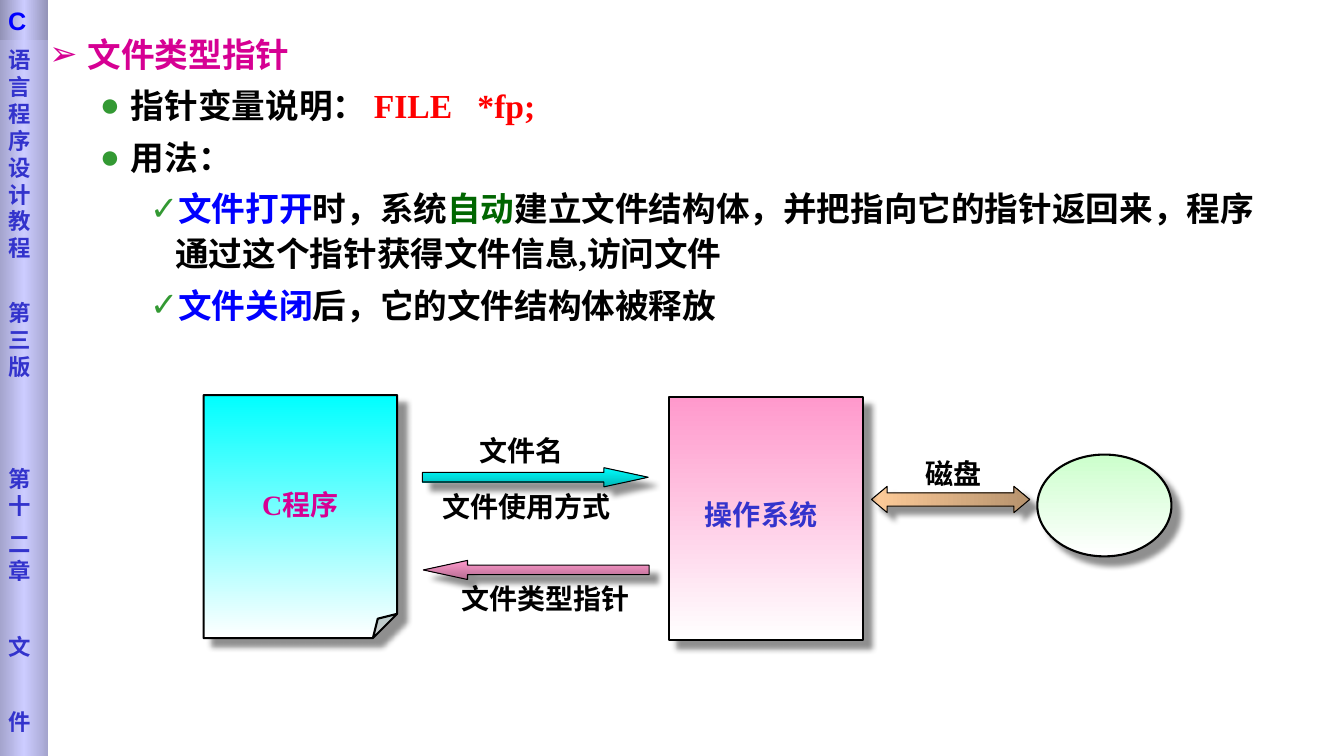
from copy import deepcopy

from lxml import etree
from pptx import Presentation
from pptx import util as u
from pptx.dml.color import RGBColor
from pptx.enum import shapes, text
from pptx.oxml import ns

# Grid: 100 columns by 100 rows
WIDTH, HEIGHT = u.Inches(13.33), u.Inches(7.5)
COLUMN, ROW = WIDTH / 100, HEIGHT / 100

BLACK = RGBColor(0x00, 0x00, 0x00)
WHITE = RGBColor(0xFF, 0xFF, 0xFF)
RED = RGBColor(0xFF, 0x00, 0x00)
BLUE = RGBColor(0x00, 0x00, 0xFF)
INDIGO = RGBColor(0x33, 0x33, 0xCC)
MAGENTA = RGBColor(0xD6, 0x00, 0x93)
GREEN = RGBColor(0x00, 0x66, 0x00)
BULLET_GREEN = RGBColor(0x33, 0x99, 0x33)
CYAN = RGBColor(0x00, 0xFF, 0xFF)
TEAL = RGBColor(0x00, 0xB6, 0xB6)
PINK = RGBColor(0xFF, 0x99, 0xCC)
MAUVE = RGBColor(0xB6, 0x6D, 0x92)
PEACH = RGBColor(0xFF, 0xCC, 0x99)
BROWN = RGBColor(0xB6, 0x92, 0x6D)
MINT = RGBColor(0xCC, 0xFF, 0xCC)
LAVENDER = RGBColor(0xCC, 0xCC, 0xFF)
SLATE = RGBColor(0xA4, 0xA4, 0xCD)
DARK_SLATE = RGBColor(0x92, 0x92, 0xB6)

SERIF, SANS, LATIN_SANS = "Times New Roman", "DejaVu Sans", "Arial"
DOWNWARD, SIDEWAYS = 270, 0
SLIM_ARROW = {"adj1": 0.5, "adj2": 2.31}

# Level: bullet, bullet colour, left margin and hanging indent in inches
LEVELS = [
    ("➢", MAGENTA, 0.38, 0.38),
    ("●", BULLET_GREEN, 0.81, 0.31),
    ("✓", BULLET_GREEN, 1.25, 0.25),
]
NOTES = [
    (0, [("文件类型指针", MAGENTA)]),
    (1, [("指针变量说明： ", BLACK), ("FILE   *fp;", RED)]),
    (1, [("用法：", BLACK)]),
    (2, [("文件打开", BLUE), ("时，系统", BLACK), ("自动", GREEN),
         ("建立文件结构体，并把指向它的指针返回来，程序通过这个指针获得文件信息,访问文件", BLACK)]),
    (2, [("文件关闭", BLUE), ("后，它的文件结构体被释放", BLACK)]),
]
# Sidebar words with the space above each, in points
SIDEBAR = [("语言程序设计教程", 0), ("第三版", 27), ("第十", 61),
           ("二章", 8), ("文", 35), ("件", 35)]


def grid(left, top, width, height):
    return [u.Emu(round(n * unit)) for n, unit in
            zip((left, top, width, height), (COLUMN, ROW, COLUMN, ROW))]


def style(run, size, color, font=SERIF):
    run.font.size = u.Pt(size)
    run.font.bold = True
    run.font.name = font
    run.font.color.rgb = color


def add_bullet(paragraph, level):
    mark, color, margin, hanging = LEVELS[level]
    props = paragraph._p.get_or_add_pPr()
    props.set("marL", str(u.Inches(margin)))
    props.set("indent", str(-u.Inches(hanging)))
    bullet_color = etree.SubElement(props, ns.qn("a:buClr"))
    etree.SubElement(bullet_color, ns.qn("a:srgbClr"), val=str(color))
    etree.SubElement(props, ns.qn("a:buFont"), typeface=LATIN_SANS)
    etree.SubElement(props, ns.qn("a:buChar"), char=mark)


def add_notes(slide):
    body = slide.placeholders[1]
    body.left, body.top, body.width, body.height = grid(2.92, 3.2, 92.55, 45.87)
    frame = body.text_frame
    frame.auto_size = text.MSO_AUTO_SIZE.NONE
    frame.vertical_anchor = text.MSO_ANCHOR.TOP
    for index, (level, parts) in enumerate(NOTES):
        paragraph = frame.add_paragraph() if index else frame.paragraphs[0]
        paragraph.level = level
        add_bullet(paragraph, level)
        paragraph.line_spacing = u.Pt(32)
        paragraph.space_before = u.Pt(4.8 if index else 0)
        for words, color in parts:
            run = paragraph.add_run()
            run.text = words
            style(run, 24, color)


def fill_gradient(shape, colors, angle):
    shape.fill.gradient()
    shape.fill.gradient_angle = angle
    stop_list = shape._element.spPr.find(ns.qn("a:gradFill")).find(ns.qn("a:gsLst"))
    for _ in colors[2:]:
        stop_list.insert(1, deepcopy(stop_list[0]))
    for index, (stop, color) in enumerate(zip(shape.fill.gradient_stops, colors)):
        stop.position = index / (len(colors) - 1)
        stop.color.rgb = color


def add_shadow(shape):
    effects = shape._element.spPr.find(ns.qn("a:effectLst"))
    shadow = etree.SubElement(
        effects, ns.qn("a:outerShdw"), blurRad=str(u.Pt(4)), dist=str(u.Pt(8.4)),
        dir=str(45 * 60000), algn="ctr", rotWithShape="0")
    color = etree.SubElement(shadow, ns.qn("a:srgbClr"), val=str(BLACK))
    etree.SubElement(color, ns.qn("a:alpha"), val="43000")


def set_guides(shape, guides):
    geometry = shape._element.spPr.find(ns.qn("a:prstGeom"))
    guide_list = geometry.find(ns.qn("a:avLst"))
    for guide in list(guide_list):
        guide_list.remove(guide)
    for name, share in guides.items():
        etree.SubElement(guide_list, ns.qn("a:gd"), name=name,
                         fmla=f"val {round(share * 100000)}")


def add_block(slide, kind, place, colors, angle=DOWNWARD):
    block = slide.shapes.add_shape(kind, *grid(*place))
    block.shadow.inherit = False
    fill_gradient(block, colors, angle)
    block.line.fill.background()
    return block


def add_node(slide, kind, place, colors, line_width=1.5, guides=None):
    node = add_block(slide, kind, place, colors)
    node.line.color.rgb = BLACK
    node.line.width = u.Pt(line_width)
    if guides:
        set_guides(node, guides)
    add_shadow(node)
    return node


def add_label(slide, words, place, color=BLACK):
    frame = slide.shapes.add_textbox(*grid(*place)).text_frame
    frame.word_wrap = False
    frame.text = words
    frame.paragraphs[0].alignment = text.PP_ALIGN.CENTER
    style(frame.paragraphs[0].runs[0], 20, color)


def add_diagram(slide):
    kinds = shapes.MSO_SHAPE
    # Arrows
    disk_arrow = add_node(slide, kinds.UP_DOWN_ARROW, (69.75, 55.6, 1.95, 20.93),
                          (PEACH, BROWN), 0.75, {"adj1": 0.5, "adj2": 0.6})
    disk_arrow.rotation = 270
    add_node(slide, kinds.RIGHT_ARROW, (31.43, 61.87, 16.8, 2.53),
             (CYAN, TEAL), 0.75, SLIM_ARROW)
    add_node(slide, kinds.LEFT_ARROW, (31.5, 74.13, 16.8, 2.53),
             (PINK, MAUVE), 0.75, SLIM_ARROW)

    # Program, operating system and disk
    add_node(slide, kinds.RECTANGLE, (49.8, 52.53, 14.4, 32.13), (PINK, WHITE))
    program = add_node(slide, kinds.FOLDED_CORNER, (15.15, 52.27, 14.4, 32.13),
                       (CYAN, WHITE), guides={"adj": 0.125})
    program.text_frame.word_wrap = False
    program.text_frame.text = "C程序"
    program.text_frame.paragraphs[0].alignment = text.PP_ALIGN.CENTER
    style(program.text_frame.paragraphs[0].runs[0], 20, MAGENTA)
    add_node(slide, kinds.OVAL, (77.18, 60.13, 9.98, 13.47), (MINT, WHITE))

    # Labels
    add_label(slide, "文件名", (34.88, 56.67, 7.8, 5.73))
    add_label(slide, "文件使用方式", (31.35, 64.13, 15.68, 5.73))
    add_label(slide, "文件类型指针", (33.53, 76.27, 14.1, 5.73))
    add_label(slide, "操作系统", (51.68, 65.2, 9.9, 5.73), INDIGO)
    add_label(slide, "磁盘", (68.1, 59.73, 5.7, 5.73))


def add_sidebar_text(band, entries, size, color, font, top_inset):
    frame = band.text_frame
    frame.word_wrap = True
    frame.vertical_anchor = text.MSO_ANCHOR.TOP
    frame.margin_left, frame.margin_top = u.Inches(0.08), u.Inches(top_inset)
    frame.text = "\n".join(words for words, _ in entries)
    for paragraph, (_, gap) in zip(frame.paragraphs, entries):
        paragraph.alignment = text.PP_ALIGN.LEFT
        paragraph.space_before = u.Pt(gap)
        style(paragraph.runs[0], size, color, font)


def add_sidebar(slide):
    rectangle = shapes.MSO_SHAPE.RECTANGLE
    band = add_block(slide, rectangle, (0, 0, 3.6, 100), (SLATE, LAVENDER, SLATE), SIDEWAYS)
    add_sidebar_text(band, SIDEBAR, 16, INDIGO, SANS, 0.46)
    cap = add_block(slide, rectangle, (0, 0, 3.6, 5.33),
                    (DARK_SLATE, LAVENDER, DARK_SLATE), SIDEWAYS)
    add_sidebar_text(cap, [("C", 0)], 18, BLUE, LATIN_SANS, 0.05)


def main():
    deck = Presentation()
    deck.slide_width, deck.slide_height = WIDTH, HEIGHT
    slide = deck.slides.add_slide(deck.slide_layouts[1])
    title = slide.shapes.title._element
    title.getparent().remove(title)
    add_notes(slide)
    add_diagram(slide)
    add_sidebar(slide)
    deck.save("out.pptx")


if __name__ == "__main__":
    main()
